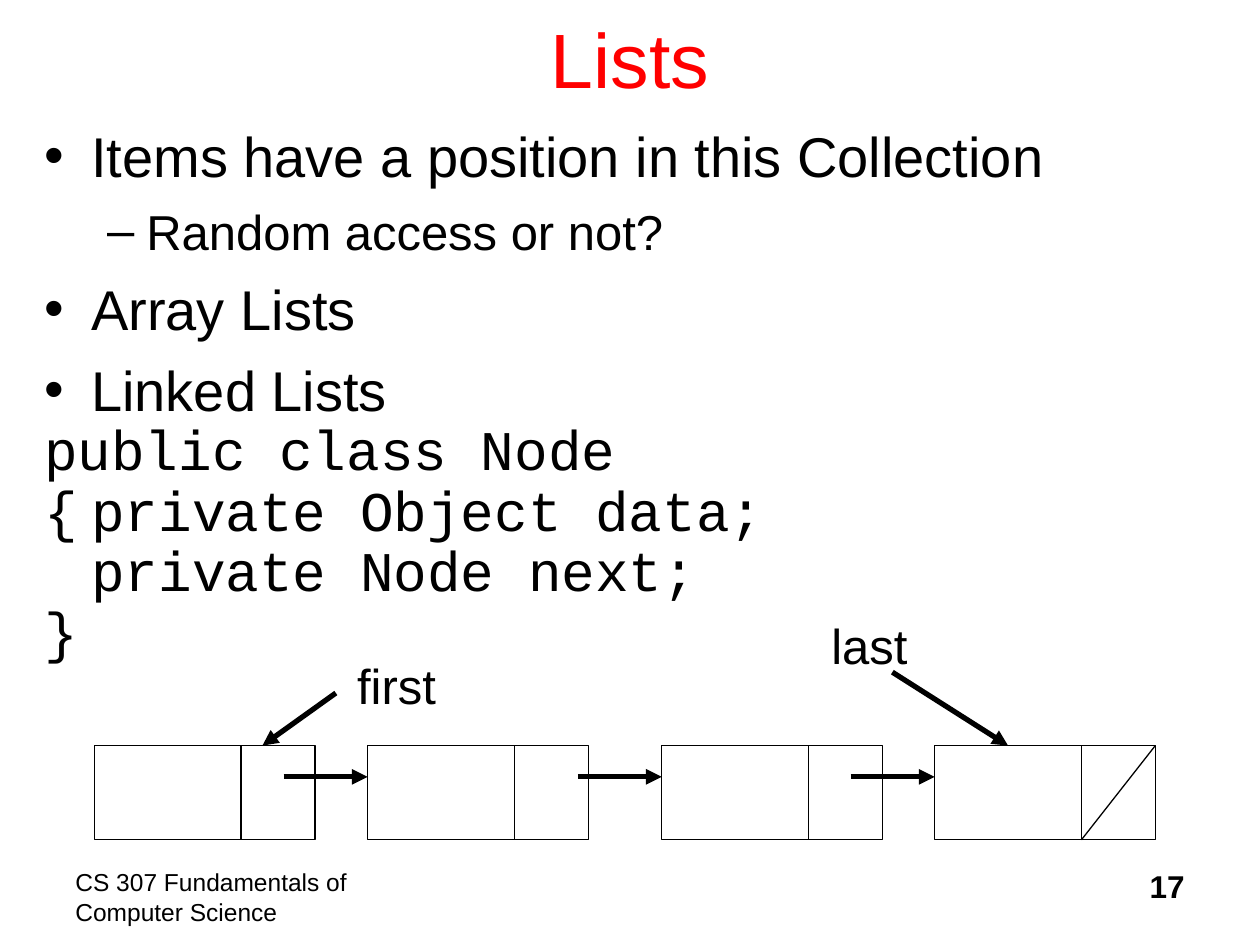
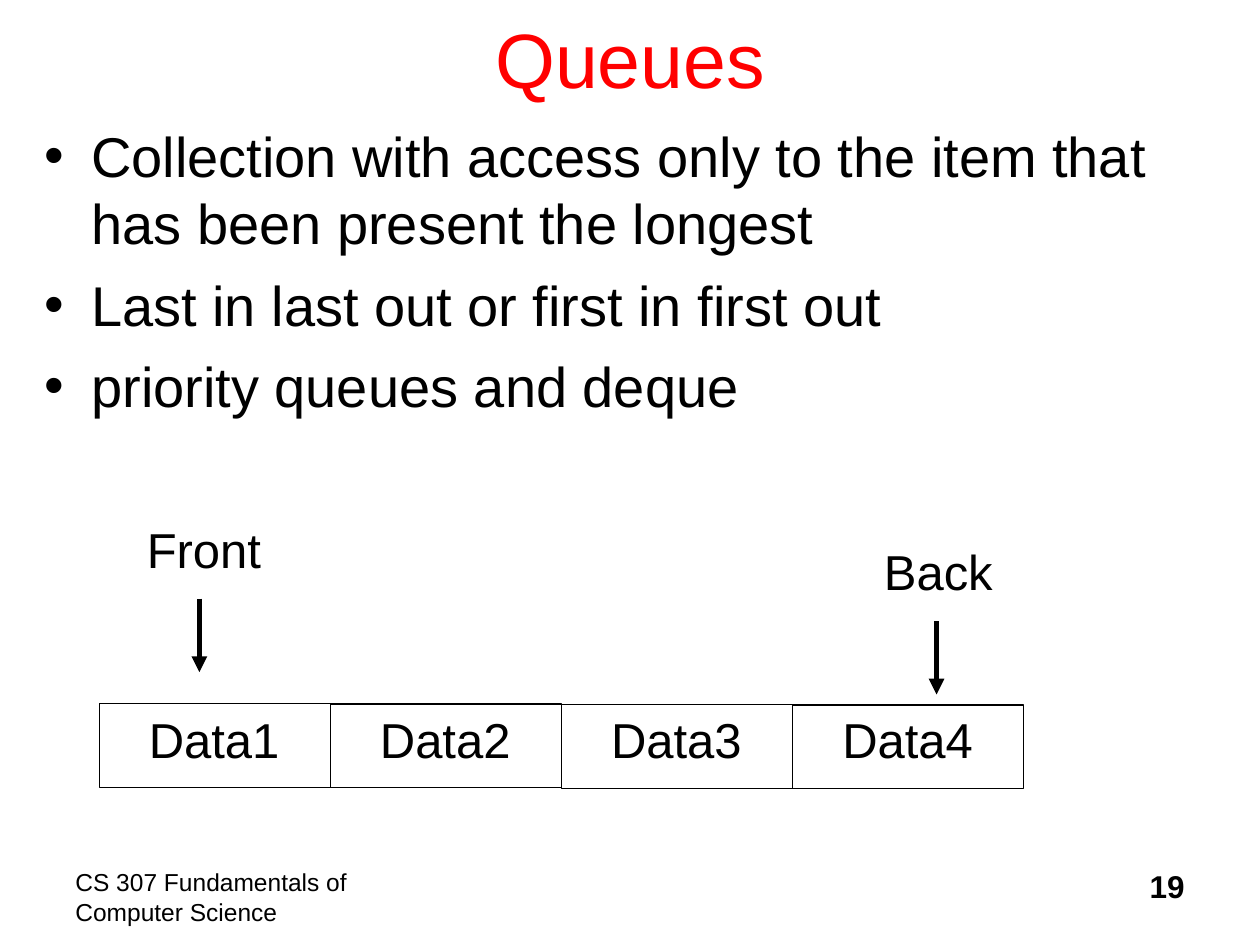
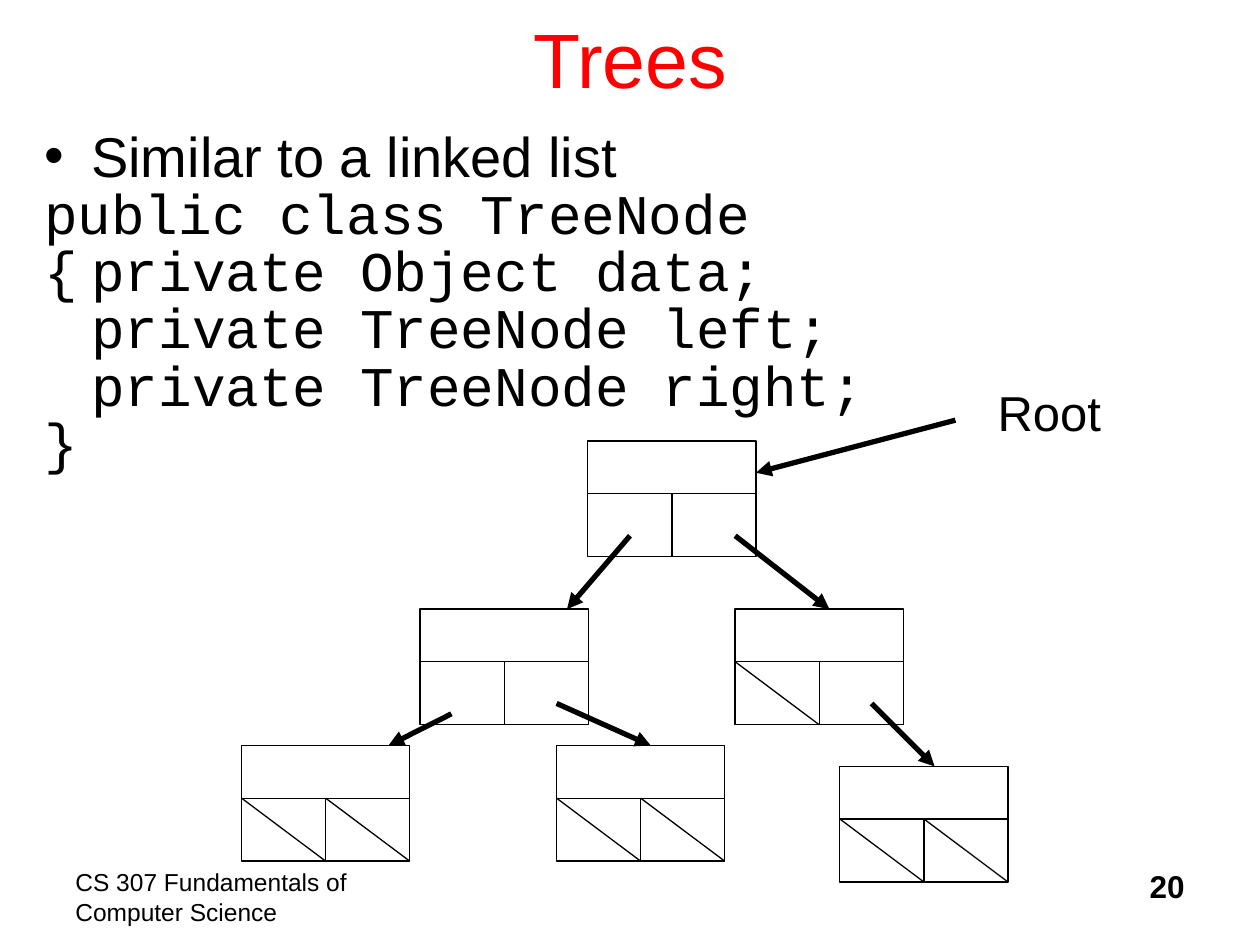
from dataclasses import dataclass

from lxml import etree
from pptx import Presentation
from pptx import util as u
from pptx.dml.color import RGBColor
from pptx.enum import shapes, text
from pptx.oxml import ns

BLACK, RED = "000000", "FF0000"
SANS, MONO = "Arial", "Courier New"
THIN, THICK = 0.75, 3
LEFT, MID, RIGHT = text.PP_ALIGN.LEFT, text.PP_ALIGN.CENTER, text.PP_ALIGN.RIGHT

# Sizes in cm
LINK_W, LINK_H, LINK_CUT = 4.45, 1.9, 2.96
CELL_W, CELL_H = 4.66, 1.69
TREE_W, TREE_H, TREE_CUT = 3.39, 2.33, 1.06


@dataclass(frozen=True)
class Style:
    size: float
    font: str = SANS
    before: float = 0
    space: float | None = None
    mark: str = ""
    level: int = 0
    left: float = 0.95
    hang: float = 0.95


@dataclass(frozen=True)
class Line:
    words: str
    style: Style


@dataclass(frozen=True)
class Label:
    words: str
    x: float
    y: float
    w: float


@dataclass(frozen=True)
class Arrow:
    x1: float
    y1: float
    x2: float
    y2: float


@dataclass(frozen=True)
class Node:
    x: float
    y: float
    nulls: tuple[int, ...] = ()


POINT = Style(32, before=8, mark="•")
SUB = Style(28, before=7, mark="–", level=1, left=2.06, hang=0.79)


def color(code: str) -> RGBColor:
    return RGBColor.from_string(code)


def code(space: float, *rows: str) -> list[Line]:
    style = Style(32, MONO, space=space)
    return [Line(row, style) for row in rows]


# Text
def add_box(slide, x: float, y: float, w: float, h: float):
    box = slide.shapes.add_textbox(u.Cm(x), u.Cm(y), u.Cm(w), u.Cm(h))
    box.text_frame.word_wrap = True
    return box.text_frame


def set_font(para, size: float, font: str = SANS, tint: str = BLACK, bold: bool = False) -> None:
    for run in para.runs:
        run.font.size = u.Pt(size)
        run.font.name = font
        run.font.bold = bold
        run.font.color.rgb = color(tint)


def add_text(slide, words: str, x: float, y: float, w: float, h: float, size: float,
             align=LEFT, tint: str = BLACK, bold: bool = False):
    frame = add_box(slide, x, y, w, h)
    frame.text = words
    para = frame.paragraphs[0]
    para.alignment = align
    set_font(para, size, tint=tint, bold=bold)
    return frame


def add_label(slide, tag: Label) -> None:
    frame = add_text(slide, tag.words, tag.x, tag.y, tag.w, 1.45, 28)
    frame.word_wrap = False
    frame.auto_size = text.MSO_AUTO_SIZE.SHAPE_TO_FIT_TEXT
    frame.paragraphs[0].space_before = u.Pt(7)


def set_mark(para, style: Style) -> None:
    props = para._p.get_or_add_pPr()
    props.set("marL", str(u.Cm(style.left)))
    props.set("indent", str(-u.Cm(style.hang)))
    if not style.mark:
        etree.SubElement(props, ns.qn("a:buNone"))
        return
    tint = etree.SubElement(props, ns.qn("a:buClr"))
    etree.SubElement(tint, ns.qn("a:srgbClr"), val=BLACK)
    etree.SubElement(props, ns.qn("a:buFont"), typeface=SANS)
    etree.SubElement(props, ns.qn("a:buChar"), char=style.mark)


def add_body(slide, lines: list[Line]) -> None:
    frame = add_box(slide, 0.64, 2.33, 24.13, 15.24)
    frame.text = "\n".join(line.words for line in lines)
    for para, line in zip(frame.paragraphs, lines):
        style = line.style
        para.level = style.level
        para.space_before = u.Pt(style.before)
        if style.space:
            para.line_spacing = style.space
        set_mark(para, style)
        set_font(para, style.size, style.font)


# Lines and boxes
def add_line(group, x1: float, y1: float, x2: float, y2: float, width: float = THIN):
    line = group.add_connector(shapes.MSO_CONNECTOR.STRAIGHT,
                               u.Cm(x1), u.Cm(y1), u.Cm(x2), u.Cm(y2))
    line.line.width = u.Pt(width)
    line.line.color.rgb = color(BLACK)
    etree.SubElement(line._element.spPr, ns.qn("a:effectLst"))
    return line


def add_arrow(slide, arrow: Arrow) -> None:
    line = add_line(slide.shapes, arrow.x1, arrow.y1, arrow.x2, arrow.y2, THICK)
    etree.SubElement(line.line._get_or_add_ln(), ns.qn("a:tailEnd"), type="triangle")


def add_rect(group, x: float, y: float, w: float, h: float) -> None:
    rect = group.add_shape(shapes.MSO_SHAPE.RECTANGLE, u.Cm(x), u.Cm(y), u.Cm(w), u.Cm(h))
    rect.shadow.inherit = False
    rect.fill.background()
    rect.line.color.rgb = color(BLACK)
    rect.line.width = u.Pt(THIN)


def add_link(slide, x: float, y: float) -> None:
    group = slide.shapes.add_group_shape().shapes
    add_rect(group, x, y, LINK_W, LINK_H)
    add_line(group, x + LINK_CUT, y, x + LINK_CUT, y + LINK_H)


def add_node(slide, node: Node) -> None:
    half, cut, base = TREE_W / 2, node.y + TREE_CUT, node.y + TREE_H
    add_rect(slide.shapes, node.x, node.y, TREE_W, TREE_H)
    add_line(slide.shapes, node.x, cut, node.x + TREE_W, cut)
    add_line(slide.shapes, node.x + half, cut, node.x + half, base)
    for side in node.nulls:
        x = node.x + side * half
        add_line(slide.shapes, x, cut, x + half, base)


# Shared frame of every slide
def add_slide(deck, title: str, page: int, lines: list[Line]):
    slide = deck.slides.add_slide(deck.slide_layouts[6])
    add_text(slide, "CS 307 Fundamentals of Computer Science", 1.27, 17.36, 6.35, 1.27, 14)
    add_text(slide, str(page), 18.84, 17.36, 5.29, 1.27, 18, RIGHT, bold=True)
    head = add_text(slide, title, 1.91, -0.42, 21.59, 3.18, 44, MID, RED)
    head.vertical_anchor = text.MSO_ANCHOR.MIDDLE
    add_body(slide, lines)
    return slide


def add_marks(slide, arrows: list[Arrow], tags: list[Label]) -> None:
    for arrow in arrows:
        add_arrow(slide, arrow)
    for tag in tags:
        add_label(slide, tag)


def draw_lists(deck) -> None:
    slide = add_slide(deck, "Lists", 17, [
        Line("Items have a position in this Collection", POINT),
        Line("Random access or not?", SUB),
        Line("Array Lists", POINT),
        Line("Linked Lists", POINT),
        *code(0.9, "public class Node", "{\tprivate Object data;",
              "\tprivate Node next;", "}"),
    ])
    lefts, top = [1.9, 7.41, 13.34, 18.84], 15.03
    for x in lefts:
        add_link(slide, x, top)
    last = lefts[-1]
    add_line(slide.shapes, last + LINK_W, top, last + LINK_CUT, top + LINK_H)
    nexts = [Arrow(x - 1.69, 15.66, x, 15.66) for x in lefts[1:]]
    add_marks(slide,
              nexts + [Arrow(6.77, 13.97, 5.29, top), Arrow(17.99, 13.55, 20.32, top)],
              [Label("first", 6.95, 13.08, 2.12), Label("last", 16.51, 12.28, 2.07)])


def draw_queues(deck) -> None:
    slide = add_slide(deck, "Queues", 19, [
        Line("Collection with access only to the item that has been present the longest", POINT),
        Line("Last in last out or first in first out", POINT),
        Line("priority queues and deque", POINT),
    ])
    left, top = 2, 14.18
    for i in range(4):
        x = left + i * CELL_W
        add_rect(slide.shapes, x, top + i * 0.01, CELL_W, CELL_H)
        add_label(slide, Label(f"Data{i + 1}", x + 0.75, top, 3.17))
    add_marks(slide,
              [Arrow(4.02, 12.07, 4.02, 13.55), Arrow(18.88, 12.52, 18.88, 14)],
              [Label("Front", 2.71, 10.34, 2.84), Label("Back", 17.57, 10.8, 2.73)])


def draw_trees(deck) -> None:
    slide = add_slide(deck, "Trees", 20, [
        Line("Similar to a linked list", POINT),
        *code(0.85, "public class TreeNode", "{\tprivate Object data;",
              "\tprivate TreeNode left;", "\tprivate TreeNode right;", "}"),
    ])
    nodes = [
        Node(11.85, 8.89),
        Node(8.47, 12.28),
        Node(14.82, 12.28, (0,)),
        Node(4.87, 15.03, (0, 1)),
        Node(11.22, 15.03, (0, 1)),
        Node(16.93, 15.45, (0, 1)),
    ]
    for node in nodes:
        add_node(slide, node)
    add_marks(slide, [
        Arrow(19.26, 8.47, 15.24, 9.53),
        Arrow(12.7, 10.8, 11.43, 12.28),
        Arrow(14.82, 10.8, 16.72, 12.28),
        Arrow(9.1, 14.39, 7.83, 15.03),
        Arrow(11.22, 14.18, 13.12, 15.03),
        Arrow(17.57, 14.18, 18.84, 15.45),
    ], [Label("Root", 19.86, 7.59, 2.61)])


def main() -> None:
    deck = Presentation()
    deck.slide_width, deck.slide_height = u.Cm(25.4), u.Cm(19.05)
    for draw in (draw_lists, draw_queues, draw_trees):
        draw(deck)
    deck.save("out.pptx")


if __name__ == "__main__":
    main()
